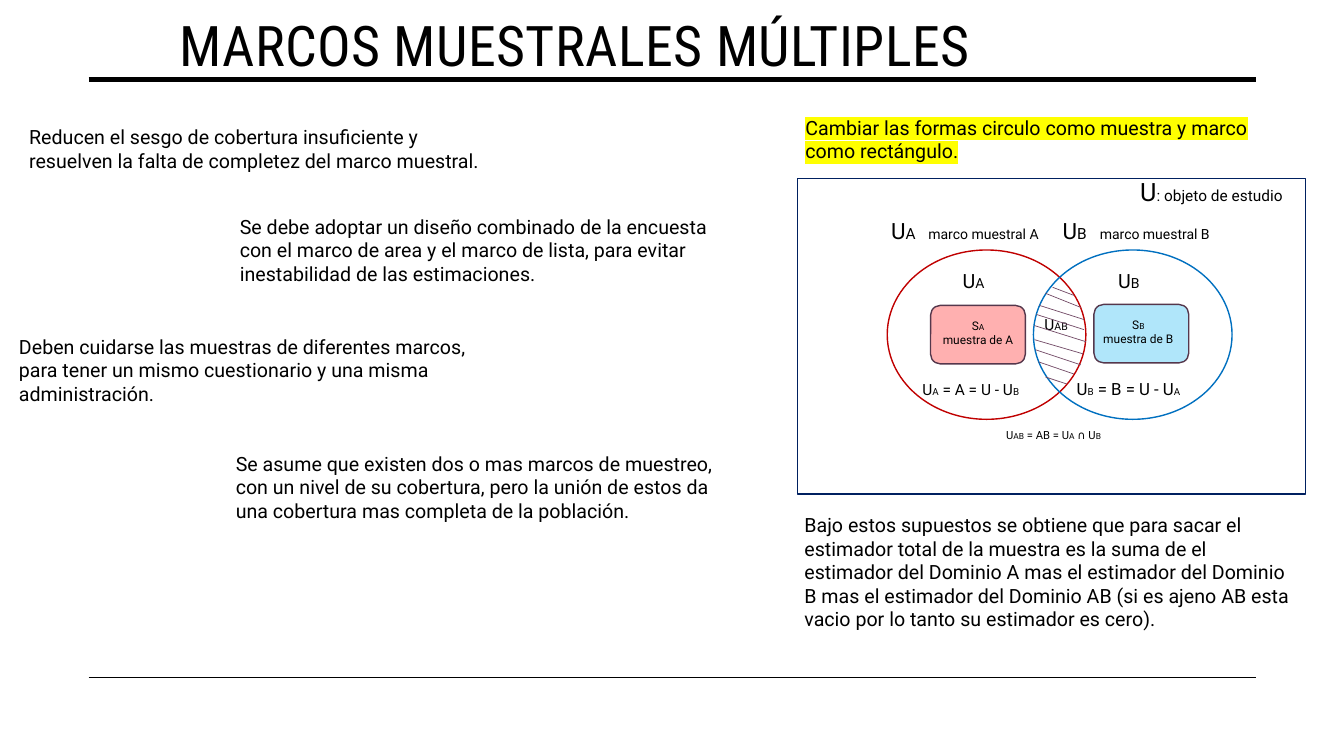
from dataclasses import dataclass

from lxml import etree
from pptx import Presentation
from pptx.dml.color import RGBColor
from pptx.enum.shapes import MSO_CONNECTOR, MSO_SHAPE
from pptx.enum.text import MSO_ANCHOR, PP_ALIGN
from pptx.oxml.ns import qn
from pptx.util import Inches, Pt

LEFT, CENTER = PP_ALIGN.LEFT, PP_ALIGN.CENTER
TOP, MIDDLE = MSO_ANCHOR.TOP, MSO_ANCHOR.MIDDLE
RECT, OVAL, ROUND = MSO_SHAPE.RECTANGLE, MSO_SHAPE.OVAL, MSO_SHAPE.ROUNDED_RECTANGLE
STRAIGHT = MSO_CONNECTOR.STRAIGHT


@dataclass(frozen=True)
class Theme:
    body: str = "Roboto"
    head: str = "Roboto Condensed"
    ink: str = "000000"
    navy: str = "002060"
    red: str = "C00000"
    blue: str = "0070C0"
    pink: str = "FF0000"
    sky: str = "00B0F0"
    edge: str = "55374C"
    hatch: str = "734B67"
    mark: str = "FFFF00"
    title: float = 40
    text: float = 14
    small: float = 8.5
    alpha: int = 31000


theme = Theme()
deck = Presentation()
deck.slide_width, deck.slide_height = Inches(13.33), Inches(7.5)
slide = deck.slides.add_slide(deck.slide_layouts[6])
shapes = slide.shapes


def write(box, lines, font=theme.body, align=LEFT, anchor=TOP, tab=None):
    """Add a text box; each line is a list of (text, size) runs."""
    frame = shapes.add_textbox(*map(Inches, box)).text_frame
    frame.word_wrap = True
    frame.vertical_anchor = anchor
    for i, runs in enumerate(lines):
        para = frame.add_paragraph() if i else frame.paragraphs[0]
        para.alignment = align
        if tab:
            stops = etree.SubElement(para._p.get_or_add_pPr(), qn("a:tabLst"))
            etree.SubElement(stops, qn("a:tab"), pos=str(Inches(tab)), algn="l")
        para.font.name = font
        para.font.color.rgb = RGBColor.from_string(theme.ink)
        for text, size in runs:
            run = para.add_run()
            run.text = text
            run.font.size = Pt(size)
    return frame


def rule(x1, y1, x2, y2, color, width):
    line = shapes.add_connector(STRAIGHT, *map(Inches, (x1, y1, x2, y2)))
    line.line.color.rgb = RGBColor.from_string(color)
    line.line.width = Pt(width)
    etree.SubElement(line._element.spPr, qn("a:effectLst"))


# Title and rules
for y, width in ((0.79, 3.5), (6.72, 1)):
    rule(0.88, y, 12.46, y, theme.ink, width)
title = write((1.68, 0, 8.74, 0.88), [[("MARCOS MUESTRALES MÚLTIPLES", theme.title)]],
              font=theme.head, anchor=MIDDLE)
title.paragraphs[0].runs[0].font._element.set("spc", "30")

# Statements on the left
notes = (
    ((0.19, 1.19, 4.68, 0.57),
     "Reducen el sesgo de cobertura insuficiente y resuelven la falta de completez del marco muestral."),
    ((2.28, 2.08, 5.18, 0.81),
     "Se debe adoptar un diseño combinado de la encuesta con el marco de area y el marco de lista, "
     "para evitar inestabilidad de las estimaciones."),
    ((0.09, 3.27, 5.04, 0.81),
     "Deben cuidarse las muestras de diferentes marcos, para tener un mismo cuestionario y una misma "
     "administración."),
    ((2.24, 4.43, 5.04, 0.81),
     "Se asume que existen dos o mas marcos de muestreo, con un nivel de su cobertura, pero la unión "
     "de estos da una cobertura mas completa de la población."),
    ((7.88, 5.04, 5.04, 1.28),
     "Bajo estos supuestos se obtiene que para sacar el estimador total de la muestra es la suma de el "
     "estimador del Dominio A mas el estimador del Dominio B mas el estimador del Dominio AB (si es "
     "ajeno AB esta vacio por lo tanto su estimador es cero)."),
)
for box, text in notes:
    write(box, [[(text, theme.text)]])

# Universe, frames and samples
outlines = (
    (RECT, (7.91, 1.77, 5.04, 3.13), theme.navy, None),
    (OVAL, (8.8, 2.48, 1.97, 1.68), theme.red, None),
    (OVAL, (10.25, 2.48, 1.97, 1.68), theme.blue, None),
    (ROUND, (9.23, 3.03, 0.94, 0.58), theme.edge, theme.pink),
    (ROUND, (10.85, 3.02, 0.94, 0.58), theme.edge, theme.sky),
)
for kind, box, color, fill in outlines:
    shape = shapes.add_shape(kind, *map(Inches, box))
    shape.shadow.inherit = False
    shape.line.color.rgb = RGBColor.from_string(color)
    shape.line.width = Pt(1)
    if fill:
        shape.fill.solid()
        shape.fill.fore_color.rgb = RGBColor.from_string(fill)
        tint = shape._element.spPr.find(qn("a:solidFill"))[0]
        etree.SubElement(tint, qn("a:alpha"), val=str(theme.alpha))
    else:
        shape.fill.background()

# Labels of each frame: heading, domain, sample and formula
write((11.21, 1.7, 2.08, 0.4), [[("U", 18), (": objeto de estudio", 11)]])
frames = (
    ("A", "B", 8.74, 9.45, (8.94, 3.11), (9.05, 3.72), 11),
    ("B", "A", 10.44, 10.99, (10.53, 3.1), (10.58, 3.71), 12),
)
for name, other, head, domain, sample, rest, size in frames:
    write((head, 2.08, 1.83, 0.4),
          [[("U", 16), (name, 11), ("\t", 18), (f"marco muestral {name}", 10)]], tab=0.37)
    write((domain, 2.62, 0.62, 0.34), [[("U", 14), (name, 10)]])
    write((*sample, 1.52, 0.39),
          [[("S", theme.small), (name, 6)], [(f"muestra de {name}", theme.small)]], align=CENTER)
    write((*rest, 1.6, 0.3),
          [[("U", size), (name, 7), (f" = {name} = U - U", size), (other, 7)]])

# Overlap of both frames
write((9.88, 4.2, 2, 0.24),
      [[("U", 8), ("AB", 6), (" = AB = U", 8), ("A", 6), (" ∩ U", 8), ("B", 6)]])
write((10.26, 3.08, 0.48, 0.29), [[("U", 11), ("AB", 7.5)]])
strokes = (
    (10.44, 2.85, 10.65, 2.93), (10.37, 2.91, 10.72, 3.05), (10.31, 3.03, 10.75, 3.17),
    (10.28, 3.12, 10.75, 3.27), (10.26, 3.23, 10.77, 3.39), (10.26, 3.37, 10.74, 3.51),
    (10.27, 3.47, 10.72, 3.62), (10.3, 3.59, 10.65, 3.71), (10.37, 3.74, 10.58, 3.81),
)
for stroke in strokes:
    rule(*stroke, theme.hatch, 0.5)

# Highlighted remark
remark = write((7.89, 1.1, 5.04, 0.57),
               [[("Cambiar las formas circulo como muestra y marco como rectángulo.", theme.text)]])
glow = etree.SubElement(remark.paragraphs[0].runs[0].font._element, qn("a:highlight"))
etree.SubElement(glow, qn("a:srgbClr"), val=theme.mark)

deck.save("out.pptx")
